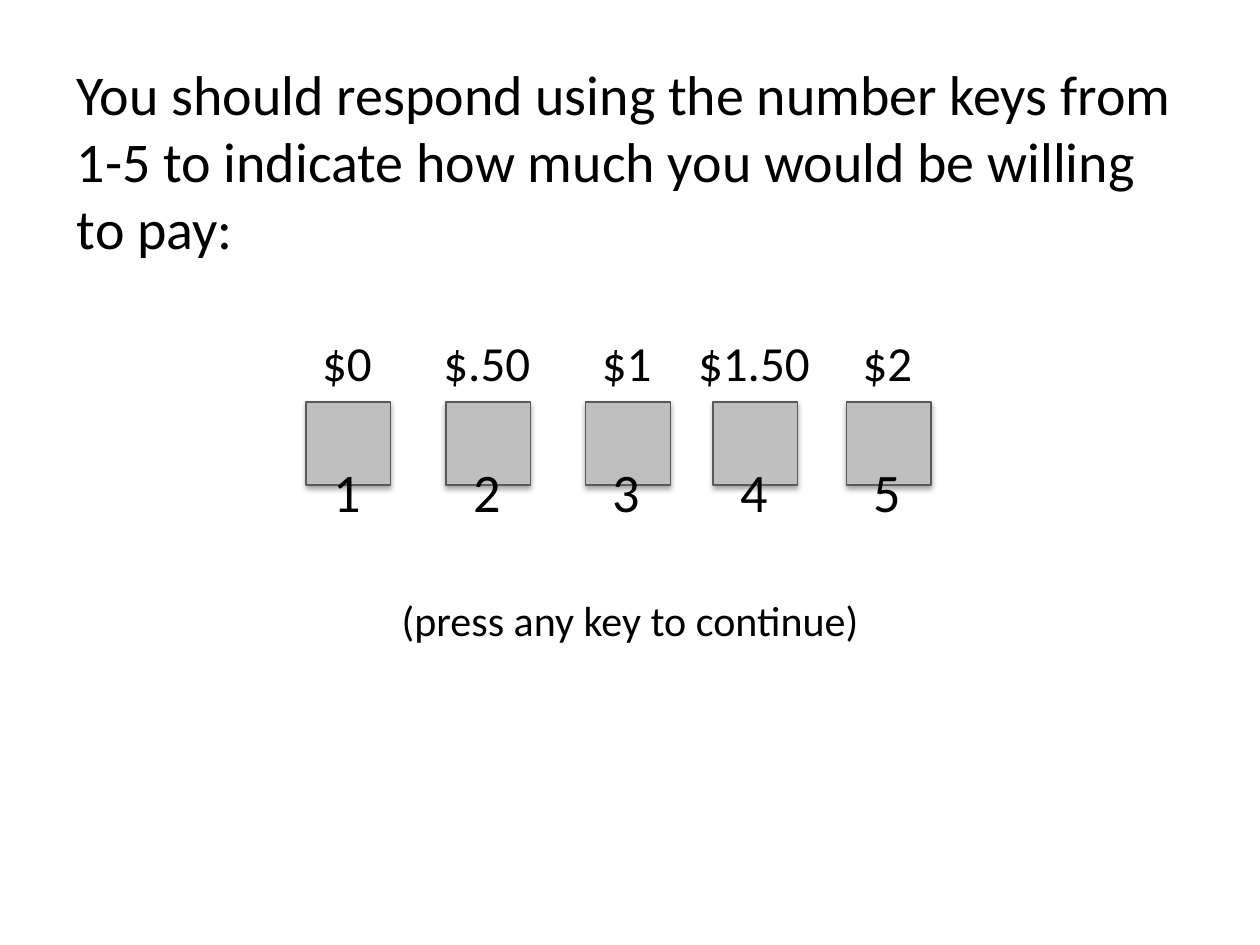
from lxml.etree import SubElement
from pptx import Presentation
from pptx.dml.color import RGBColor
from pptx.enum.shapes import MSO_SHAPE
from pptx.enum.text import PP_ALIGN
from pptx.oxml.ns import qn
from pptx.util import Inches, Pt

COLORS = {"text": "000000", "key": "BFBFBF", "outline": "595959", "shadow": "000000"}
KEY_LEFTS = [2.43, 3.54, 4.65, 5.66, 6.72]
KEY_WIDTH, KEY_HEIGHT = 0.67, 0.66
PRICES = ["$0", "$.50", "$1", "$1.50", "$2"]
NUMBERS = ["1", "2", "3", "4", "5"]


class SlideBuilder:
    font_name = "Calibri"

    def __init__(self, slide):
        self.slide = slide

    def color(self, name):
        return RGBColor.from_string(COLORS[name])

    def format_paragraph(self, para, size, before=0, align=PP_ALIGN.LEFT):
        para.alignment = align
        para.space_before = Pt(before)
        for span in para.runs:
            span.font.name = self.font_name
            span.font.size = Pt(size)
            span.font.color.rgb = self.color("text")

    def body(self, text, left, top, width, height, size):
        box = self.slide.placeholders[1]
        box.left, box.top = Inches(left), Inches(top)
        box.width, box.height = Inches(width), Inches(height)
        box.text_frame.text = text
        para = box.text_frame.paragraphs[0]
        self.format_paragraph(para, size, before=size * 0.2)
        properties = para._p.get_or_add_pPr()
        properties.set("marL", str(Inches(0.01)))
        properties.set("indent", "0")
        SubElement(properties, qn("a:buNone"))

    def key(self, left, top):
        key = self.slide.shapes.add_shape(
            MSO_SHAPE.RECTANGLE, Inches(left), Inches(top), Inches(KEY_WIDTH), Inches(KEY_HEIGHT)
        )
        key.fill.solid()
        key.fill.fore_color.rgb = self.color("key")
        key.line.color.rgb = self.color("outline")
        key.line.width = Pt(0.75)
        key.shadow.inherit = False
        effects = key._element.spPr.find(qn("a:effectLst"))
        shadow = SubElement(
            effects, qn("a:outerShdw"), blurRad=str(Pt(3.1)), dist=str(Pt(1.8)),
            dir="5400000", rotWithShape="0",
        )
        tint = SubElement(shadow, qn("a:srgbClr"), val=COLORS["shadow"])
        SubElement(tint, qn("a:alpha"), val="35000")

    def text_box(self, left, top, width, height):
        box = self.slide.shapes.add_textbox(
            Inches(left), Inches(top), Inches(width), Inches(height)
        )
        box.text_frame.word_wrap = True
        return box.text_frame

    def tabbed_rows(self, rows, centers, left, top, width, height):
        frame = self.text_box(left, top, width, height)
        frame.text = "\n".join("\t" + "\t".join(labels) for labels, _, _ in rows)
        for para, (_, size, before) in zip(frame.paragraphs, rows):
            self.format_paragraph(para, size, before)
            tabs = SubElement(para._p.get_or_add_pPr(), qn("a:tabLst"))
            for center in centers:
                position = Inches(center - left) - frame.margin_left
                SubElement(tabs, qn("a:tab"), pos=str(position), algn="ctr")

    def centered_note(self, text, left, top, width, height, size):
        frame = self.text_box(left, top, width, height)
        frame.text = text
        self.format_paragraph(frame.paragraphs[0], size, align=PP_ALIGN.CENTER)


def main():
    deck = Presentation()
    deck.slide_width, deck.slide_height = Inches(10), Inches(7.5)
    page = deck.slides.add_slide(deck.slide_layouts[1])
    title = page.shapes.title._element
    title.getparent().remove(title)

    builder = SlideBuilder(page)
    builder.body(
        "You should respond using the number keys from 1-5 to indicate "
        "how much you would be willing to pay:",
        0.5, 0.42, 9, 6.28, size=32,
    )
    for left in KEY_LEFTS:
        builder.key(left, 3.19)
    centers = [left + KEY_WIDTH / 2 - 0.01 for left in KEY_LEFTS]
    rows = [(PRICES, 28, 5.6), (NUMBERS, 31, 38)]
    builder.tabbed_rows(rows, centers, 2.18, 2.59, 5.42, 1.25)
    builder.centered_note("(press any key to continue)", 0, 4.67, 10, 0.5, size=24)

    deck.save("out.pptx")


if __name__ == "__main__":
    main()
